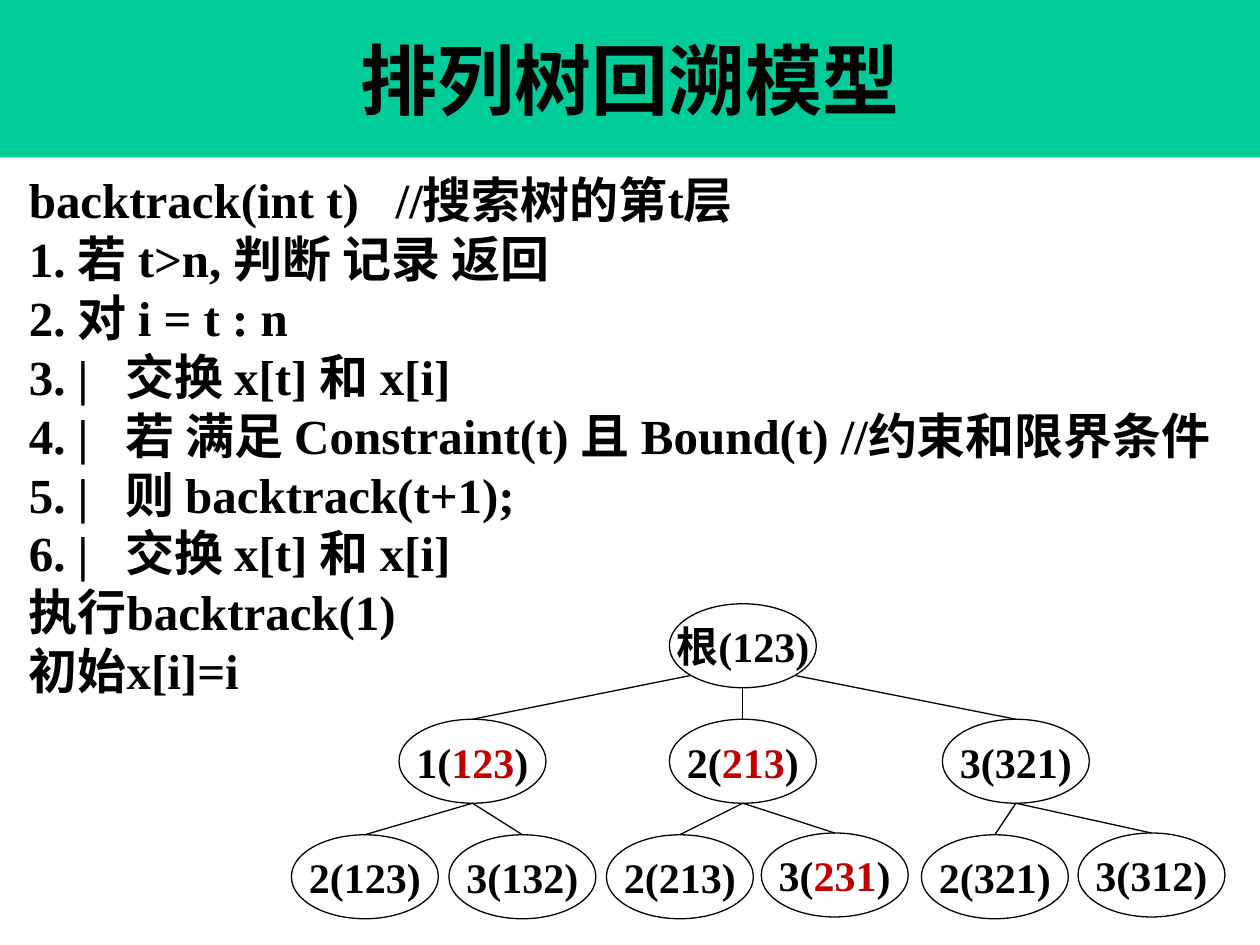
from dataclasses import dataclass
from math import sqrt

from lxml import etree
from pptx import Presentation
from pptx.dml.color import RGBColor
from pptx.enum.shapes import MSO_CONNECTOR, MSO_SHAPE
from pptx.enum.text import MSO_ANCHOR, PP_ALIGN
from pptx.oxml.ns import qn
from pptx.util import Pt

RECTANGLE = MSO_SHAPE.RECTANGLE
OVAL = MSO_SHAPE.OVAL
STRAIGHT = MSO_CONNECTOR.STRAIGHT
MIDDLE = MSO_ANCHOR.MIDDLE
CENTER = PP_ALIGN.CENTER

BLACK = "000000"
RED = "C00000"
GREEN = "00CC99"
FONT = {"name": "Times New Roman", "bold": True}
NO_MARGINS = {"margin_left": 0, "margin_right": 0, "margin_top": 0, "margin_bottom": 0}
NODE_FRAME = {**NO_MARGINS, "word_wrap": False, "vertical_anchor": MIDDLE}
NODE_WIDTH, NODE_HEIGHT = 84, 48
TOP_SITE = 0
CODE_INDENT = 36

CODE_LINES = (
    "backtrack(int t)   //搜索树的第t层",
    "1. 若 t>n, 判断 记录 返回",
    "2. 对 i = t : n",
    "3. |   交换 x[t] 和 x[i]",
    "4. |   若 满足 Constraint(t) 且 Bound(t) //约束和限界条件",
    "5. |   则 backtrack(t+1);",
    "6. |   交换 x[t] 和 x[i]",
    "执行backtrack(1)",
    "初始x[i]=i",
)


@dataclass(frozen=True)
class Node:
    label: str
    center: float
    top: float
    red: str = ""
    children: tuple["Node", ...] = ()


TREE = Node("根(123)", 424.5, 345, children=(
    Node("1(123)", 270, 411, "123", (
        Node("2(123)", 208.5, 477),
        Node("3(132)", 298.5, 477),
    )),
    Node("2(213)", 424.5, 411, "213", (
        Node("2(213)", 388.5, 477),
        Node("3(231)", 477, 476, "231"),
    )),
    Node("3(321)", 580.5, 411, children=(
        Node("2(321)", 568.5, 477),
        Node("3(312)", 658, 476),
    )),
))


def color(value: str) -> RGBColor:
    return RGBColor.from_string(value)


def apply(target, values: dict) -> None:
    for name, value in values.items():
        setattr(target, name, value)


def add_span(para, text: str, size: float, ink: str = BLACK) -> None:
    span = para.add_run()
    span.text = text
    apply(span.font, {**FONT, "size": Pt(size)})
    span.font.color.rgb = color(ink)


def add_title(page, text: str) -> None:
    banner = page.shapes.add_shape(RECTANGLE, 0, 0, Pt(720), Pt(90))
    banner.shadow.inherit = False
    banner.fill.solid()
    banner.fill.fore_color.rgb = color(GREEN)
    banner.line.fill.background()
    banner.text_frame.vertical_anchor = MIDDLE
    para = banner.text_frame.paragraphs[0]
    para.alignment = CENTER
    add_span(para, text, 44)


def add_code(page, lines: tuple[str, ...]) -> None:
    box = page.shapes.add_textbox(Pt(9.4), Pt(93.6), Pt(708.5), Pt(312.5))
    frame = box.text_frame
    frame.word_wrap = True
    for index, line in enumerate(lines):
        para = frame.add_paragraph() if index else frame.paragraphs[0]
        properties = para._p.get_or_add_pPr()
        properties.set("marL", str(Pt(CODE_INDENT)))
        properties.set("indent", str(Pt(-CODE_INDENT)))
        add_span(para, line, 28)


def add_node(page, node: Node):
    oval = page.shapes.add_shape(
        OVAL, Pt(node.center - NODE_WIDTH / 2), Pt(node.top), Pt(NODE_WIDTH), Pt(NODE_HEIGHT)
    )
    oval.shadow.inherit = False
    oval.fill.background()
    oval.line.color.rgb = color(BLACK)
    oval.line.width = Pt(0.75)
    apply(oval.text_frame, NODE_FRAME)
    para = oval.text_frame.paragraphs[0]
    para.alignment = CENTER
    before, red, after = node.label.partition(node.red) if node.red else (node.label, "", "")
    for text, ink in ((before, BLACK), (red, RED), (after, BLACK)):
        if text:
            add_span(para, text, 24, ink)
    return oval


def add_branch(page, start: tuple[float, float], oval) -> None:
    left, top = start
    branch = page.shapes.add_connector(STRAIGHT, Pt(left), Pt(top), Pt(left), Pt(top))
    branch.end_connect(oval, TOP_SITE)
    branch.line.color.rgb = color(BLACK)
    branch.line.width = Pt(0.75)
    etree.SubElement(branch._element.spPr, qn("a:effectLst"))


def branch_start(node: Node, side: int) -> tuple[float, float]:
    middle = node.top + NODE_HEIGHT / 2
    if side == 0:
        return node.center, node.top + NODE_HEIGHT
    return node.center + side * NODE_WIDTH / sqrt(8), middle + NODE_HEIGHT / sqrt(8)


def add_tree(page, node: Node) -> None:
    sides = (-1, 0, 1) if len(node.children) == 3 else (0, 0)
    for child, side in zip(node.children, sides):
        oval = add_node(page, child)
        add_branch(page, branch_start(node, side), oval)
        add_tree(page, child)


def main() -> None:
    deck = Presentation()
    deck.slide_width, deck.slide_height = Pt(720), Pt(540)
    page = deck.slides.add_slide(deck.slide_layouts[6])
    add_title(page, "排列树回溯模型")
    add_code(page, CODE_LINES)
    add_node(page, TREE)
    add_tree(page, TREE)
    deck.save("out.pptx")


if __name__ == "__main__":
    main()
